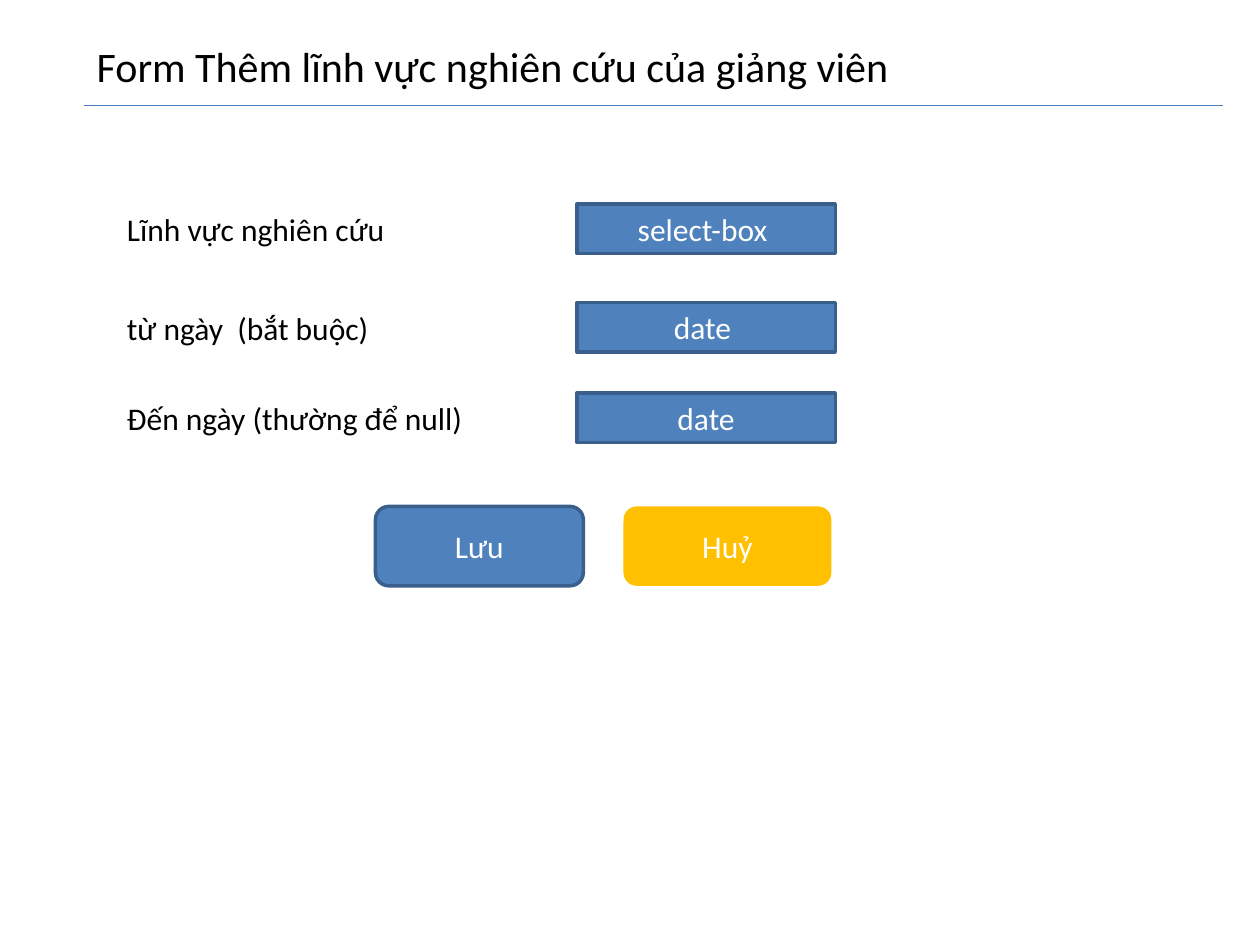
from pptx import Presentation
from pptx import util as u
from pptx.dml.color import RGBColor
from pptx.enum import shapes, text
from pptx.oxml.ns import qn

COLORS = {
    "ink": "000000",
    "white": "FFFFFF",
    "field": "4F81BD",
    "border": "3A5F8C",
    "rule": "4B7EBC",
    "cancel": "FFC000",
}
FORM_ROWS = [
    (0, "Lĩnh vực nghiên cứu", "select-box "),
    (1.99, "từ ngày  (bắt buộc)", "date "),
    (3.81, "Đến ngày (thường để null)", "date"),
]
BUTTONS = [("Lưu", "field", "border"), ("Huỷ", "cancel", None)]


def color(name):
    """Return the palette colour with the given name."""
    return RGBColor.from_string(COLORS[name])


def set_attributes(target, values):
    """Set every attribute in a dict of format values."""
    for name, value in values.items():
        setattr(target, name, value)


def write(shape, content, size, ink, frame_format, alignment):
    """Write one formatted paragraph into a shape."""
    set_attributes(shape.text_frame, {"word_wrap": True, **frame_format})
    paragraph = shape.text_frame.paragraphs[0]
    paragraph.alignment = alignment
    run = paragraph.add_run()
    run.text = content
    set_attributes(run.font, {"name": "Calibri", "size": u.Pt(size)})
    run.font.color.rgb = color(ink)


def add_label(slide, box, content, size):
    """Add a left-aligned text box."""
    shape = slide.shapes.add_textbox(*map(u.Cm, box))
    frame_format = {"auto_size": text.MSO_AUTO_SIZE.SHAPE_TO_FIT_TEXT}
    write(shape, content, size, "ink", frame_format, text.PP_ALIGN.LEFT)


def add_control(slide, kind, box, content, fill, border):
    """Add a filled form control with centred white text."""
    shape = slide.shapes.add_shape(kind, *map(u.Cm, box))
    shape.shadow.inherit = False
    shape.fill.solid()
    shape.fill.fore_color.rgb = color(fill)
    if border:
        shape.line.color.rgb = color(border)
        shape.line.width = u.Pt(2)
    else:
        shape.line.fill.background()
    frame_format = {"vertical_anchor": text.MSO_ANCHOR.MIDDLE}
    write(shape, content, 18, "white", frame_format, text.PP_ALIGN.CENTER)


def add_header(slide, left, top, width, height):
    """Add the title with a rule along the bottom of its box."""
    add_label(slide, (left, top, width, 1.27),
              "Form Thêm lĩnh vực nghiên cứu của giảng viên", 24)
    bottom = top + height
    rule = slide.shapes.add_connector(
        shapes.MSO_CONNECTOR.STRAIGHT,
        *map(u.Cm, (left, bottom, left + width, bottom)))
    rule.line.color.rgb = color("rule")
    rule.line.width = u.Pt(0.75)
    properties = rule._element.spPr
    properties.append(properties.makeelement(qn("a:effectLst"), {}))


def add_form(slide, left, top, width):
    """Add the rows of labels and right-aligned input fields."""
    field_width = 5.21
    for offset, label, field in FORM_ROWS:
        row_top = top + offset
        add_control(slide, shapes.MSO_SHAPE.RECTANGLE,
                    (left + width - field_width, row_top, field_width, 1),
                    field, "field", "border")
        add_label(slide, (left, row_top, 8.41, 1.02), label, 18)


def add_buttons(slide, left, top, width, height):
    """Add the buttons, spread evenly across the box."""
    button_width = 4.19
    step = (width - button_width) / (len(BUTTONS) - 1)
    for index, (label, fill, border) in enumerate(BUTTONS):
        add_control(slide, shapes.MSO_SHAPE.ROUNDED_RECTANGLE,
                    (left + index * step, top, button_width, height),
                    label, fill, border)


def main():
    """Build and save the presentation."""
    presentation = Presentation()
    set_attributes(presentation, {"slide_width": u.Cm(25.4),
                                  "slide_height": u.Cm(19.05)})
    slide = presentation.slides.add_slide(presentation.slide_layouts[6])
    add_header(slide, 1.7, 0.69, 22.96, 1.44)
    add_form(slide, 2.31, 4.11, 14.53)
    add_buttons(slide, 7.57, 10.21, 9.19, 1.6)
    presentation.save("out.pptx")


if __name__ == "__main__":
    main()
